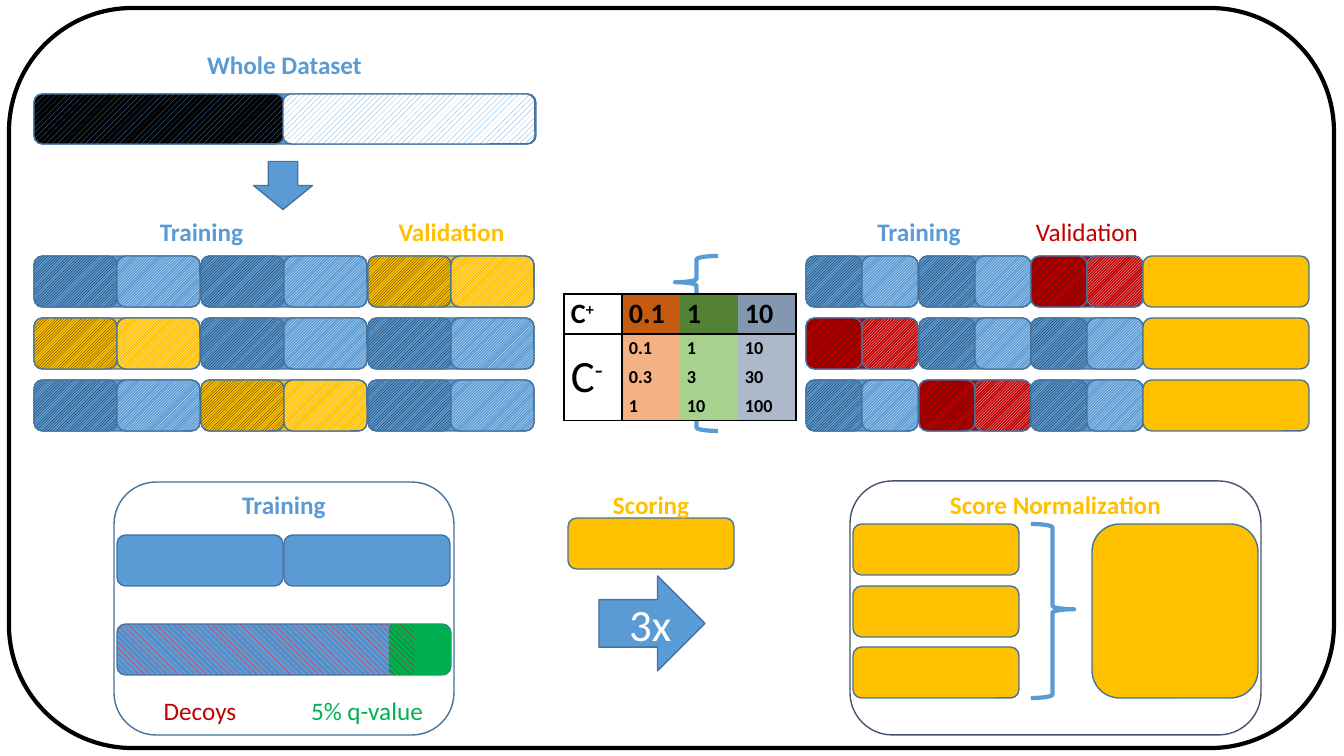
import pptx
import pptx.dml.color
import pptx.enum.dml
import pptx.enum.shapes
import pptx.enum.text
import pptx.oxml.ns
import pptx.util
from lxml import etree

EMU_PER_PX = 914400 / 100.8
COLORS = {
    "blue": "5B9BD5", "edge": "43739E", "slate": "44546A", "gold": "FFC000",
    "red": "C00000", "bright_red": "FF0000", "green": "00B050",
    "black": "000000", "white": "FFFFFF",
    "orange_head": "C55A11", "green_head": "548235", "gray_head": "8497B0",
    "orange_cell": "F4B183", "green_cell": "A9D18E", "gray_cell": "ADB9CA",
}
SHAPE = pptx.enum.shapes.MSO_SHAPE
PATTERN = pptx.enum.dml.MSO_PATTERN
ALIGN = pptx.enum.text.PP_ALIGN
ANCHOR = pptx.enum.text.MSO_ANCHOR
FOLD_ROWS = (256, 318, 380)
VALIDATION_FOLDS = (2, 0, 1)
BAR_W, BAR_H = 166, 51


def px(n):
    """Convert picture pixels to EMU."""
    return pptx.util.Emu(round(n * EMU_PER_PX))


def rgb(name):
    """Look up a colour by name."""
    return pptx.dml.color.RGBColor.from_string(COLORS[name])


def add_run(p, text, size, color, bold=False, raised=False):
    """Append one formatted run to a paragraph."""
    r = p.add_run()
    r.text = text
    r.font.name = "Calibri"
    r.font.size = pptx.util.Pt(size)
    r.font.bold = bold
    r.font.color.rgb = rgb(color)
    if raised:
        r._r.get_or_add_rPr().set("baseline", "30000")


def add_shape(slide, kind, box, fill=None, line="edge", weight=1, pattern=None, rotation=0):
    """Add a preset shape; with a pattern, fill is (foreground, background)."""
    sp = slide.shapes.add_shape(kind, *map(px, box))
    sp.shadow.inherit = False
    sp.rotation = rotation
    if pattern:
        sp.fill.patterned()
        sp.fill.pattern = pattern
        sp.fill.fore_color.rgb, sp.fill.back_color.rgb = map(rgb, fill)
    elif fill:
        sp.fill.solid()
        sp.fill.fore_color.rgb = rgb(fill)
    else:
        sp.fill.background()
    if line:
        sp.line.color.rgb = rgb(line)
        sp.line.width = pptx.util.Pt(weight)
    else:
        sp.line.fill.background()
    return sp


def add_bar(slide, x, y, w=BAR_W, h=BAR_H, fill="gold", **style):
    """Add a rounded bar."""
    return add_shape(slide, SHAPE.ROUNDED_RECTANGLE, (x, y, w, h), fill, **style)


def add_fold(slide, x, y, w, color):
    """Add a fold made of a dark and a light hatched half."""
    half = w // 2
    add_bar(slide, x, y, w, fill=color)
    for i, hatch in enumerate(("black", "white")):
        add_bar(slide, x + i * half, y, half, fill=(hatch, color),
                pattern=PATTERN.DARK_UPWARD_DIAGONAL)


def add_fold_grid(slide, columns, w, validation):
    """Add three rows of folds with a rotating validation fold."""
    for y, held_out in zip(FOLD_ROWS, VALIDATION_FOLDS):
        for i, x in enumerate(columns):
            add_fold(slide, x, y, w, validation if i == held_out else "blue")


def add_brace(slide, box, tip, rotation=0):
    """Add a thick blue brace with its tip at the given fraction."""
    sp = add_shape(slide, SHAPE.LEFT_BRACE, box, line="blue", weight=3, rotation=rotation)
    sp.adjustments[0], sp.adjustments[1] = 0.08, tip


def add_label(slide, x, y, w, text, color, bold=True):
    """Add a centred heading."""
    tf = slide.shapes.add_textbox(px(x), px(y), px(w), px(35)).text_frame
    tf.word_wrap = True
    tf.paragraphs[0].alignment = ALIGN.CENTER
    add_run(tf.paragraphs[0], text, 18, color, bold)


def set_borders(cell, sides):
    """Draw black borders on the named sides and clear the others."""
    tc_pr = cell._tc.get_or_add_tcPr()
    for side in "LRTB":
        ln = etree.SubElement(tc_pr, pptx.oxml.ns.qn("a:ln" + side), w="12700")
        if side in sides:
            fill = etree.SubElement(ln, pptx.oxml.ns.qn("a:solidFill"))
            etree.SubElement(fill, pptx.oxml.ns.qn("a:srgbClr"), val=COLORS["black"])
        else:
            etree.SubElement(ln, pptx.oxml.ns.qn("a:noFill"))


def add_cost_table(slide):
    """Add the table of C+ and C- values."""
    values = (("0.1", "1", "10"), ("0.1", "1", "10"), ("0.3", "3", "30"), ("1", "10", "100"))
    table = slide.shapes.add_table(4, 4, px(564), px(294), px(232), px(127)).table
    table.first_row = table.horz_banding = False
    for column in table.columns:
        column.width = px(58)
    for i, row in enumerate(table.rows):
        row.height = px(29 if i else 40)
        for j, cell in enumerate(row.cells):
            cell.margin_left = cell.margin_right = px(7)
            cell.margin_top = cell.margin_bottom = px(3)
            edges = {"L": j < 2, "R": j in (0, 3), "T": i < 2, "B": i in (0, 3) or j == 0}
            set_borders(cell, [side for side, drawn in edges.items() if drawn])
            cell.fill.solid()
            shade = ("orange", "green", "gray")[j - 1] + ("_cell" if i else "_head")
            cell.fill.fore_color.rgb = rgb(shade if j else "white")
            if j:
                add_run(cell.text_frame.paragraphs[0], values[i][j - 1],
                        13 if i else 20, "black", True)
    table.cell(1, 0).merge(table.cell(3, 0))
    table.cell(1, 0).vertical_anchor = ANCHOR.MIDDLE
    for i, sign, size, bold in ((0, "+", 20, True), (1, "-", 32, False)):
        p = table.cell(i, 0).text_frame.paragraphs[0]
        add_run(p, "C", size, "black", bold)
        add_run(p, sign, size, "black", bold, raised=True)


def add_dataset(slide):
    """Add the whole dataset bar and the arrow to the folds."""
    add_label(slide, 34, 44, 501, "Whole Dataset", "blue")
    add_bar(slide, 34, 94, 502, 50, "blue")
    for x, w, back in ((34, 250, "black"), (283, 252, "white")):
        add_bar(slide, x, 94, w, 50, ("blue", back), pattern=PATTERN.WIDE_UPWARD_DIAGONAL)
    add_shape(slide, SHAPE.RIGHT_ARROW, (259, 156, 48, 59), "blue", rotation=90)


def add_cross_validation(slide):
    """Add the outer and inner folds."""
    add_label(slide, 35, 211, 333, "Training", "blue")
    add_label(slide, 368, 211, 167, "Validation", "gold")
    add_fold_grid(slide, (34, 201, 368), BAR_W, "gold")
    add_label(slide, 806, 211, 226, "Training", "blue")
    add_label(slide, 1022, 211, 130, "Validation", "red", bold=False)
    add_fold_grid(slide, (806, 919, 1031), 112, "red")
    for y in FOLD_ROWS:
        add_bar(slide, 1143, y)
    add_brace(slide, (675, 256, 43, 175), 0.15)


def add_training(slide):
    """Add the training panel."""
    add_bar(slide, 114, 482, 340, 253, None)
    add_label(slide, 117, 484, 334, "Training", "blue")
    for x in (117, 284):
        add_bar(slide, x, 535, fill="blue")
    hatch = PATTERN.WIDE_DOWNWARD_DIAGONAL
    add_bar(slide, 117, 624, 334, fill=("bright_red", "blue"), pattern=hatch)
    add_bar(slide, 389, 624, 62, fill="green", line=None)
    add_bar(slide, 389, 624, 26, fill=("red", "green"), line=None, pattern=hatch)
    add_label(slide, 117, 690, 166, "Decoys", "red", bold=False)
    add_label(slide, 284, 690, 166, "5% q-value", "green", bold=False)


def add_scoring(slide):
    """Add the scoring bar and the repeat arrow."""
    add_bar(slide, 568, 518)
    add_label(slide, 568, 484, BAR_W, "Scoring", "gold")
    tf = add_shape(slide, SHAPE.RIGHT_ARROW, (599, 576, 106, 95), "blue").text_frame
    tf.vertical_anchor = ANCHOR.MIDDLE
    tf.paragraphs[0].alignment = ALIGN.RIGHT
    add_run(tf.paragraphs[0], "3x", 32, "white")


def add_normalization(slide):
    """Add the score normalization panel."""
    add_bar(slide, 850, 481, 411, 254, None, line="slate")
    add_label(slide, 853, 484, 405, "Score Normalization", "gold")
    for y in (524, 586, 647):
        add_bar(slide, 853, y)
    add_brace(slide, (1031, 524, 43, 174), 0.51, rotation=180)
    add_bar(slide, 1092, 524, BAR_W, 174)


def main():
    """Build and save the slide."""
    prs = pptx.Presentation()
    prs.slide_width, prs.slide_height = px(1344), px(756)
    slide = prs.slides.add_slide(prs.slide_layouts[6])
    add_bar(slide, 9, 8, 1325, 740, None, line="black", weight=3)
    add_dataset(slide)
    add_cross_validation(slide)
    add_training(slide)
    add_scoring(slide)
    add_normalization(slide)
    add_cost_table(slide)
    prs.save("out.pptx")


main()
